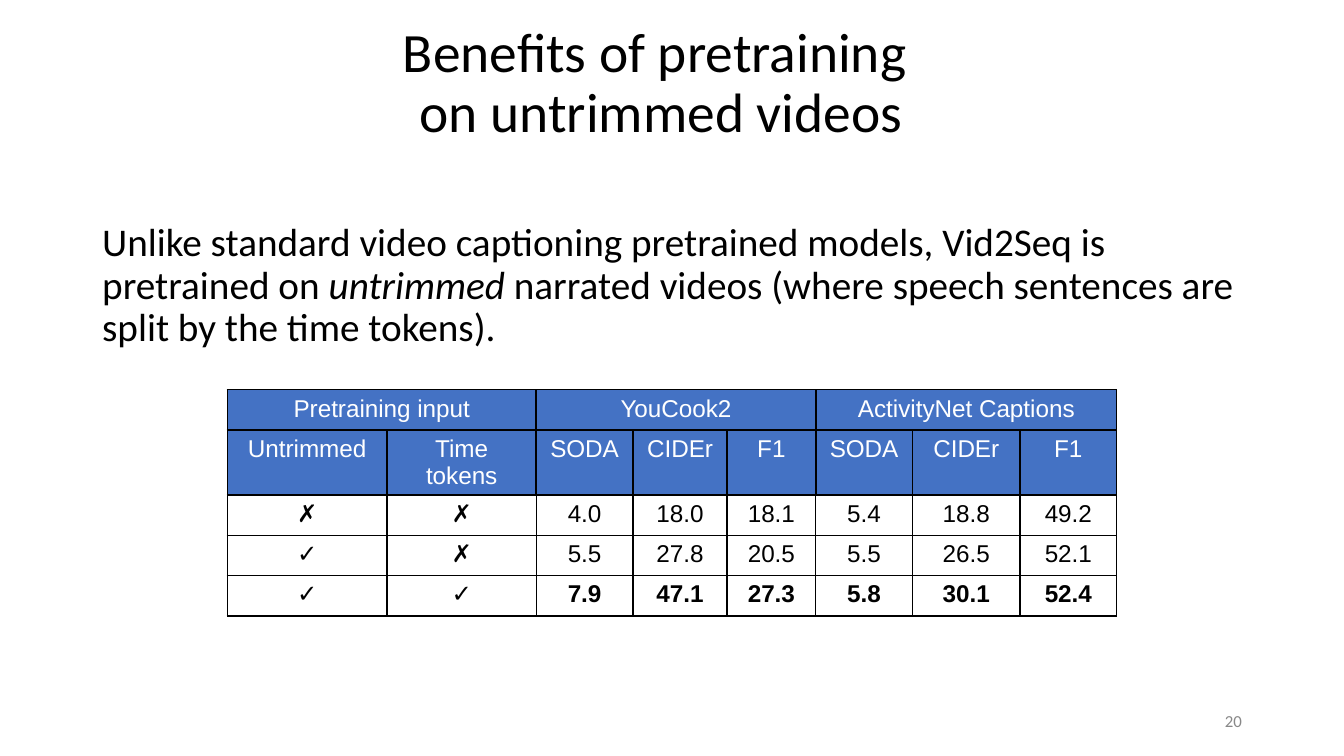
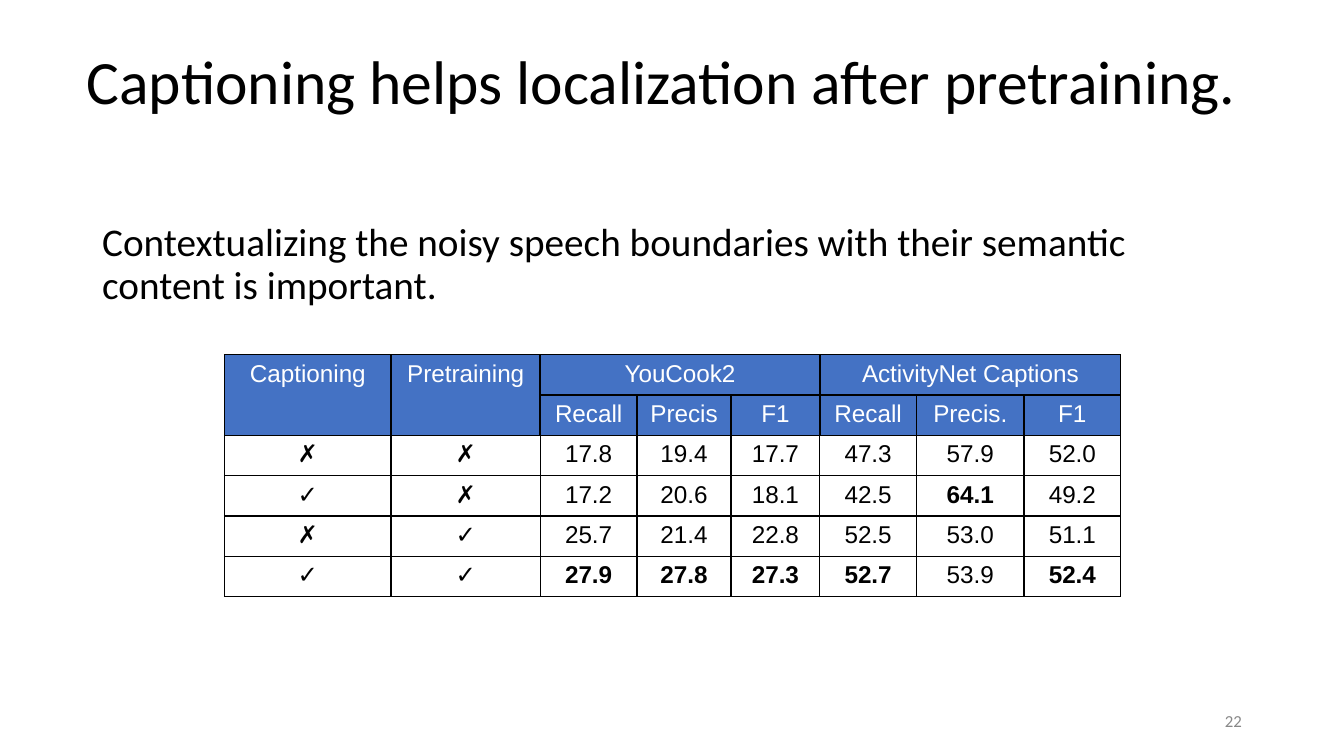
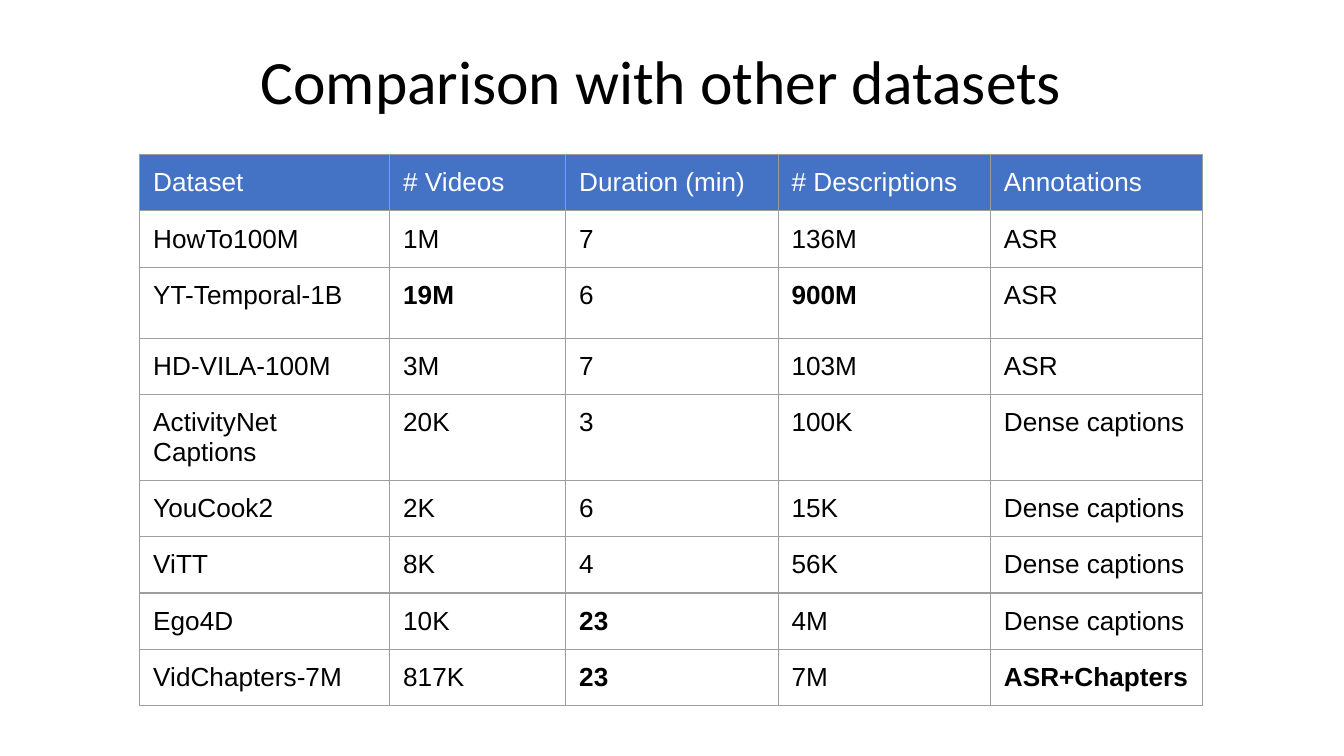
from lxml.etree import SubElement
from pptx import Presentation
from pptx.dml.color import RGBColor
from pptx.enum.text import MSO_ANCHOR as Anchor, MSO_AUTO_SIZE as AutoSize, PP_ALIGN as Align
from pptx.oxml.ns import qn
from pptx.util import Inches, Pt

BLACK = RGBColor(0x00, 0x00, 0x00)
WHITE = RGBColor(0xFF, 0xFF, 0xFF)
BLUE = RGBColor(0x44, 0x72, 0xC4)
GRID_GRAY = RGBColor(0x9E, 0x9E, 0x9E)
NUMBER_GRAY = RGBColor(0x88, 0x88, 0x88)
TEXT_FONT, TABLE_FONT = "Calibri", "Arial"
TITLE_ONLY, TITLE_AND_BODY = 5, 1

# "*" before a table value makes it bold; "" is covered by a merged neighbour.
RESULTS_STYLE = dict(size=13, align=Align.CENTER, margins=(0.08, 0.04),
                     line=BLACK, heading_width=1, heading_rows=2)
DATASETS_STYLE = dict(size=14, align=Align.LEFT, margins=(0.1, 0.1),
                      line=GRID_GRAY, heading_width=0.75, heading_rows=1)
METRIC_COLUMNS = [0.72, 0.7, 0.66, 0.72, 0.8, 0.72]

SLIDES = [
    dict(
        title="Benefits of pretraining \von untrimmed videos",
        title_size=29.7,
        body=[("Unlike standard video captioning pretrained models, Vid2Seq is pretrained on ", False),
              ("untrimmed", True),
              (" narrated videos (where speech sentences are split by the time tokens).", False)],
        body_height=1.02,
        number="20",
        table_at=(1.69, 2.9),
        columns=[1.19, 1.11] + METRIC_COLUMNS,
        row_heights=[0.3] * 5,
        merges=[((0, 0), (0, 1)), ((0, 2), (0, 4)), ((0, 5), (0, 7))],
        style=RESULTS_STYLE,
        rows=[
            ["Pretraining input", "", "YouCook2", "", "", "ActivityNet Captions", "", ""],
            ["Untrimmed", "Time tokens", "SODA", "CIDEr", "F1", "SODA", "CIDEr", "F1"],
            ["✗", "✗", "4.0", "18.0", "18.1", "5.4", "18.8", "49.2"],
            ["✓", "✗", "5.5", "27.8", "20.5", "5.5", "26.5", "52.1"],
            ["✓", "✓", "*7.9", "*47.1", "*27.3", "*5.8", "*30.1", "*52.4"],
        ],
    ),
    dict(
        title="Captioning helps localization after pretraining.",
        title_size=33,
        body=[("Contextualizing the noisy speech boundaries with their semantic content is important.", False)],
        body_height=0.93,
        number="22",
        table_at=(1.67, 2.64),
        columns=[1.24, 1.11] + METRIC_COLUMNS,
        row_heights=[0.3] * 6,
        merges=[((0, 0), (1, 0)), ((0, 1), (1, 1)), ((0, 2), (0, 4)), ((0, 5), (0, 7))],
        style=RESULTS_STYLE,
        rows=[
            ["Captioning", "Pretraining", "YouCook2", "", "", "ActivityNet Captions", "", ""],
            ["", "", "Recall", "Precis", "F1", "Recall", "Precis.", "F1"],
            ["✗", "✗", "17.8", "19.4", "17.7", "47.3", "57.9", "52.0"],
            ["✓", "✗", "17.2", "20.6", "18.1", "42.5", "*64.1", "49.2"],
            ["✗", "✓", "25.7", "21.4", "22.8", "52.5", "53.0", "51.1"],
            ["✓", "✓", "*27.9", "*27.8", "*27.3", "*52.7", "53.9", "*52.4"],
        ],
    ),
    dict(
        title="Comparison with other datasets",
        title_size=33,
        table_at=(1.04, 1.15),
        columns=[1.86, 1.31, 1.58, 1.58, 1.58],
        row_heights=[0.38, 0.38, 0.53, 0.38, 0.59, 0.38, 0.38, 0.38, 0.38],
        merges=[],
        style=DATASETS_STYLE,
        rows=[
            ["Dataset", "# Videos", "Duration (min)", "# Descriptions", "Annotations"],
            ["HowTo100M", "1M", "7", "136M", "ASR"],
            ["YT-Temporal-1B", "*19M", "6", "*900M", "ASR"],
            ["HD-VILA-100M", "3M", "7", "103M", "ASR"],
            ["ActivityNet Captions", "20K", "3", "100K", "Dense captions"],
            ["YouCook2", "2K", "6", "15K", "Dense captions"],
            ["ViTT", "8K", "4", "56K", "Dense captions"],
            ["Ego4D", "10K", "*23", "4M", "Dense captions"],
            ["VidChapters-7M", "817K", "*23", "7M", "*ASR+Chapters"],
        ],
    ),
]


def set_font(run, font, size, color, bold=False, italic=False):
    run.font.name = font
    run.font.size = Pt(size)
    run.font.color.rgb = color
    run.font.bold = bold
    run.font.italic = italic


def place(shape, left, top, width, height):
    shape.left, shape.top = Inches(left), Inches(top)
    shape.width, shape.height = Inches(width), Inches(height)


def set_frame(shape, anchor):
    frame = shape.text_frame
    frame.word_wrap = True
    frame.auto_size = AutoSize.NONE
    frame.vertical_anchor = anchor
    frame.margin_left = frame.margin_right = Inches(0.07)
    frame.margin_top = frame.margin_bottom = Inches(0.04)
    return frame


def fill_title(title, text, size):
    place(title, 0.52, 0.22, 8.8, 0.82)
    frame = set_frame(title, Anchor.MIDDLE)
    frame.text = text
    paragraph = frame.paragraphs[0]
    paragraph.alignment = Align.CENTER
    paragraph.line_spacing = 0.9
    for run in paragraph.runs:
        set_font(run, TEXT_FONT, size, BLACK)


def fill_body(body, phrases, height):
    place(body, 0.69, 1.62, 8.62, height)
    paragraph = set_frame(body, Anchor.TOP).paragraphs[0]
    properties = paragraph._p.get_or_add_pPr()
    properties.set("marL", "0")
    properties.set("indent", "0")
    SubElement(properties, qn("a:buNone"))
    paragraph.alignment = Align.LEFT
    paragraph.line_spacing = 0.9
    paragraph.space_before = Pt(0)
    for phrase, italic in phrases:
        run = paragraph.add_run()
        run.text = phrase
        set_font(run, TEXT_FONT, 21, BLACK, italic=italic)


def add_slide_number(slide, number):
    box = slide.shapes.add_textbox(Inches(7.06), Inches(5.21), Inches(2.25), Inches(0.3))
    frame = set_frame(box, Anchor.MIDDLE)
    frame.text = number
    paragraph = frame.paragraphs[0]
    paragraph.alignment = Align.RIGHT
    set_font(paragraph.runs[0], TEXT_FONT, 9, NUMBER_GRAY)


def set_borders(cell, color, widths):
    """Draw the left, right, top and bottom lines; call before filling the cell."""
    properties = cell._tc.get_or_add_tcPr()
    for side, width in zip("LRTB", widths):
        line = SubElement(properties, qn(f"a:ln{side}"), w=str(Pt(width)))
        fill = SubElement(line, qn("a:solidFill"))
        SubElement(fill, qn("a:srgbClr"), val=str(color))


def format_cell(cell, value, heading, style):
    cell.fill.solid()
    cell.fill.fore_color.rgb = BLUE if heading else WHITE
    side, end = style["margins"]
    cell.margin_left = cell.margin_right = Inches(side)
    cell.margin_top = cell.margin_bottom = Inches(end)
    if not value:
        return
    cell.text_frame.text = value.lstrip("*")
    paragraph = cell.text_frame.paragraphs[0]
    paragraph.alignment = style["align"]
    set_font(paragraph.runs[0], TABLE_FONT, style["size"],
             WHITE if heading else BLACK, bold=value.startswith("*"))


def add_values_table(slide, content):
    rows, columns, heights = content["rows"], content["columns"], content["row_heights"]
    style = content["style"]
    left, top = content["table_at"]
    table = slide.shapes.add_table(len(rows), len(columns), Inches(left), Inches(top),
                                   Inches(sum(columns)), Inches(sum(heights))).table
    table.first_row = table.horz_banding = False
    for column, width in zip(table.columns, columns):
        column.width = Inches(width)
    for row, height in zip(table.rows, heights):
        row.height = Inches(height)
    for first, last in content["merges"]:
        table.cell(*first).merge(table.cell(*last))

    for r, values in enumerate(rows):
        heading = r < style["heading_rows"]
        for c, value in enumerate(values):
            cell = table.cell(r, c)
            inner = (c > 0, c + cell.span_width < len(columns),
                     r > 0, r + cell.span_height < style["heading_rows"])
            set_borders(cell, style["line"],
                        [style["heading_width"] if heading and within else 0.75
                         for within in inner])
            format_cell(cell, value, heading, style)


def main():
    deck = Presentation()
    deck.slide_width = Inches(10)
    deck.slide_height = deck.slide_width * 9 // 16
    for content in SLIDES:
        layout = TITLE_AND_BODY if "body" in content else TITLE_ONLY
        slide = deck.slides.add_slide(deck.slide_layouts[layout])
        fill_title(slide.shapes.title, content["title"], content["title_size"])
        add_values_table(slide, content)
        if "body" in content:
            fill_body(slide.placeholders[1], content["body"], content["body_height"])
            add_slide_number(slide, content["number"])
    deck.save("out.pptx")


if __name__ == "__main__":
    main()
